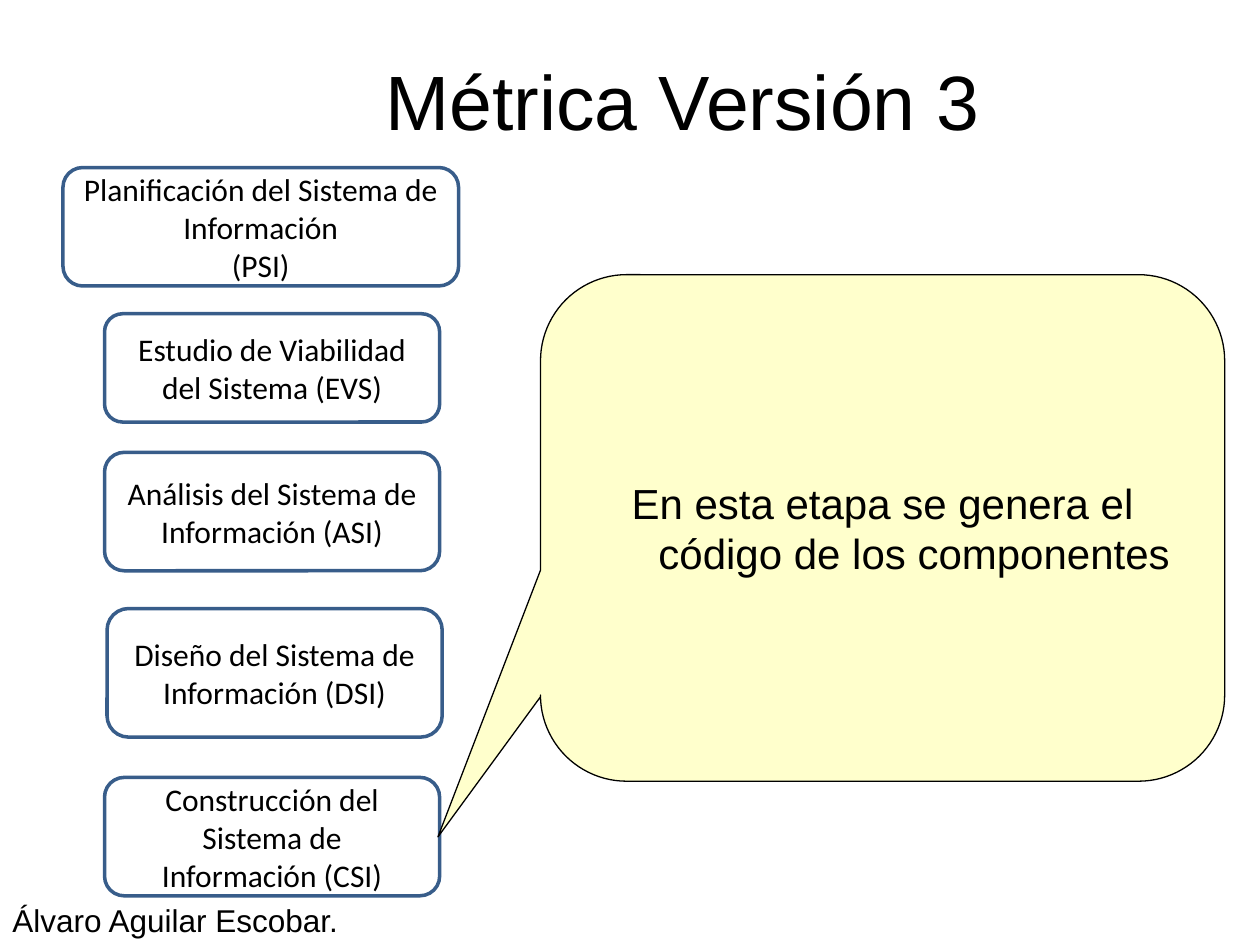
from dataclasses import dataclass

from pptx import Presentation
from pptx.dml.color import RGBColor
from pptx.enum.shapes import MSO_SHAPE
from pptx.enum.text import MSO_ANCHOR, PP_ALIGN
from pptx.util import Inches, Pt

ROUNDED = MSO_SHAPE.ROUNDED_RECTANGLE
CALLOUT = MSO_SHAPE.ROUNDED_RECTANGULAR_CALLOUT
CENTER, LEFT = PP_ALIGN.CENTER, PP_ALIGN.LEFT
MIDDLE, TOP = MSO_ANCHOR.MIDDLE, MSO_ANCHOR.TOP
TITLE_ONLY = 5


@dataclass(frozen=True)
class Theme:
    ink: RGBColor = RGBColor(0, 0, 0)
    stage_line: RGBColor = RGBColor(0x38, 0x5D, 0x8A)
    note_fill: RGBColor = RGBColor(0xFF, 0xFF, 0xCC)
    main_font: str = "Arial"
    stage_font: str = "Calibri"
    title_size: int = 44
    note_size: int = 24
    small_size: int = 18


THEME = Theme()
WIDTH, HEIGHT = 10, 7.5
TITLE = "Métrica Versión 3"
NOTE = "En esta etapa se genera el código de los componentes"
AUTHOR = "Álvaro Aguilar Escobar."

STAGE_LEFT, STAGE_WIDTH = 0.83, 2.66
# Paragraphs, left, top, width, height
STAGES = [
    (["Planificación del Sistema de Información", "(PSI)"], 0.5, 1.33, 3.14, 0.94),
    (["Estudio de Viabilidad del Sistema (EVS)"], STAGE_LEFT, 2.49, STAGE_WIDTH, 0.86),
    (["Análisis del Sistema de Información (ASI)"], STAGE_LEFT, 3.59, STAGE_WIDTH, 0.94),
    (["Diseño del Sistema de Información (DSI)"], 0.85, 4.83, STAGE_WIDTH, 1.02),
    (["Construcción del Sistema de Información (CSI)"], STAGE_LEFT, 6.17, STAGE_WIDTH, 0.94),
]
NOTE_BOX = (4.29, 2.18, 5.43, 4.02)
NOTE_TAIL = (-0.65, 0.61, 0.17)  # tip x, tip y, corner radius
NOTE_INDENT = 0.5


def inches(box):
    return [Inches(value) for value in box]


def write(shape, paragraphs, size, font, align=CENTER, anchor=MIDDLE):
    frame = shape.text_frame
    frame.word_wrap = True
    frame.vertical_anchor = anchor
    frame.text = "\n".join(paragraphs)
    for paragraph in frame.paragraphs:
        paragraph.alignment = align
        paragraph.font.size = Pt(size)
        paragraph.font.name = font
        paragraph.font.color.rgb = THEME.ink


def add_outlined(slide, kind, box, line, line_width, fill=None):
    shape = slide.shapes.add_shape(kind, *inches(box))
    shape.shadow.inherit = False
    shape.line.color.rgb = line
    shape.line.width = Pt(line_width)
    if fill is None:
        shape.fill.background()
    else:
        shape.fill.solid()
        shape.fill.fore_color.rgb = fill
    return shape


def main():
    deck = Presentation()
    deck.slide_width, deck.slide_height = Inches(WIDTH), Inches(HEIGHT)
    slide = deck.slides.add_slide(deck.slide_layouts[TITLE_ONLY])

    title = slide.shapes.title
    title.left, title.top, title.width, title.height = inches((1.17, 0.33, 8.5, 0.92))
    write(title, [TITLE], THEME.title_size, THEME.main_font)

    for paragraphs, *box in STAGES:
        stage = add_outlined(slide, ROUNDED, box, THEME.stage_line, 2)
        write(stage, paragraphs, THEME.small_size, THEME.stage_font)

    note = add_outlined(slide, CALLOUT, NOTE_BOX, THEME.ink, 0.75, THEME.note_fill)
    for index, value in enumerate(NOTE_TAIL):
        note.adjustments[index] = value
    write(note, [NOTE], THEME.note_size, THEME.main_font)
    hanging = note.text_frame.paragraphs[0]._p.get_or_add_pPr()
    hanging.set("marL", str(Inches(NOTE_INDENT)))
    hanging.set("indent", str(-Inches(NOTE_INDENT)))

    author = slide.shapes.add_textbox(*inches((0, 7.1, 6.69, 0.4)))
    write(author, [AUTHOR], THEME.small_size, THEME.main_font, LEFT, TOP)

    deck.save("out.pptx")


if __name__ == "__main__":
    main()
